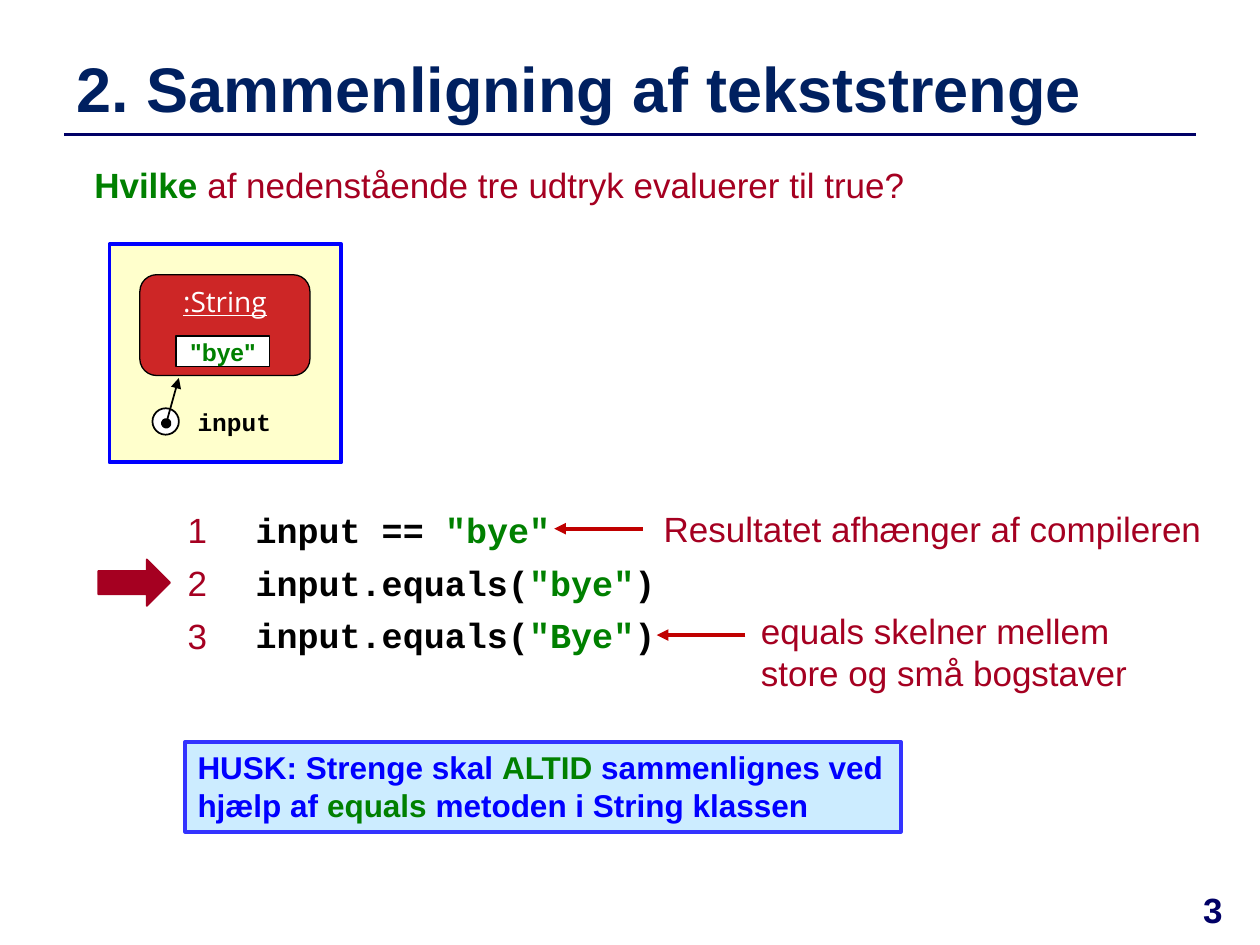
"""Build a slide on comparing text strings in Java."""
from lxml import etree
from pptx import Presentation
from pptx.dml.color import RGBColor
from pptx.enum import shapes as kinds, text as txt
from pptx.oxml.ns import qn
from pptx.util import Pt

NAVY, TITLE_BLUE, BLUE, RED = "000066", "002060", "0000FF", "A50021"
ARROW_RED, GREEN, BLACK, WHITE = "C00000", "008000", "000000", "FFFFFF"
SANS, MONO, UML = "Arial", "Courier New", "Open Sans"
CENTER = txt.PP_ALIGN.CENTER
SHAPE = kinds.MSO_SHAPE

TITLE = "2. Sammenligning af tekststrenge"
QUESTION = [("Hvilke", GREEN, True),
            (" af nedenstående tre udtryk evaluerer til true?", RED, False)]
EXPRESSIONS = [
    [("input == ", BLACK), ('"bye"', GREEN)],
    [("input.equals(", BLACK), ('"bye"', GREEN), (")", BLACK)],
    [("input.equals(", BLACK), ('"Bye"', GREEN), (")", BLACK)],
]
COMMENTS = [
    ("Resultatet afhænger af compileren", (372.2, 286.6, 326.2, 31.7)),
    ("equals skelner mellem store og små bogstaver", (427.7, 344.9, 262, 55.4)),
]
POINTERS = [((367.2, 302.1), (316.7, 302.1)), ((426, 362.9), (375.3, 362.9))]
REMINDER = [("HUSK: Strenge skal ", BLUE), ("ALTID", GREEN),
            (" sammenlignes ved hjælp af ", BLUE), ("equals", GREEN),
            (" metoden i String klassen", BLUE)]


def rgb(color):
    return RGBColor.from_string(color)


def write(shape, paragraphs, size=20, font=SANS, color=RED, bold=False,
          underline=None, align=None, before=0, anchor=txt.MSO_ANCHOR.TOP, wrap=True):
    frame = shape.text_frame
    frame.auto_size = txt.MSO_AUTO_SIZE.NONE
    frame.word_wrap = wrap
    frame.vertical_anchor = anchor
    for number, runs in enumerate(paragraphs):
        paragraph = frame.add_paragraph() if number else frame.paragraphs[0]
        paragraph.alignment = align or txt.PP_ALIGN.LEFT
        paragraph.space_before = Pt(before)
        for words, *style in [(runs,)] if isinstance(runs, str) else runs:
            run = paragraph.add_run()
            run.text = words
            run.font.name, run.font.size = font, Pt(size)
            run.font.color.rgb = rgb(style[0] if style else color)
            run.font.bold = style[1] if len(style) > 1 else bold
            run.font.underline = underline


def add_text(slide, box, paragraphs, **style):
    write(slide.shapes.add_textbox(*map(Pt, box)), paragraphs, **style)


def add_box(slide, kind, box, fill, line, width):
    shape = slide.shapes.add_shape(kind, *map(Pt, box))
    shape.shadow.inherit = False
    shape.fill.solid()
    shape.fill.fore_color.rgb = rgb(fill)
    shape.line.color.rgb = rgb(line)
    shape.line.width = Pt(width)
    return shape


def add_line(slide, start, end, color, width, **ends):
    line = slide.shapes.add_connector(kinds.MSO_CONNECTOR.STRAIGHT,
                                      *map(Pt, (*start, *end)))
    line.line.color.rgb = rgb(color)
    line.line.width = Pt(width)
    properties = line.line._get_or_add_ln()
    for tag in ("headEnd", "tailEnd"):
        if tag in ends:
            etree.SubElement(properties, qn("a:" + tag), type=ends[tag])
    etree.SubElement(line._element.spPr, qn("a:effectLst"))


def add_object_diagram(slide):
    add_box(slide, SHAPE.RECTANGLE, (62.6, 139.7, 132.5, 124.6), "FFFFCC", BLUE, 2.25)
    add_box(slide, SHAPE.OVAL, (87.1, 233.3, 15.1, 15.1), WHITE, BLACK, 1)
    add_box(slide, SHAPE.ROUNDED_RECTANGLE, (79.9, 157, 97.2, 57.6), "CD2626", BLACK, 0.75)
    value = add_box(slide, SHAPE.RECTANGLE, (100.8, 192.2, 53.3, 17.3), WHITE, BLACK, 1)
    write(value, ['"bye"'], size=14, color=GREEN, bold=True, align=CENTER,
          anchor=txt.MSO_ANCHOR.MIDDLE, wrap=False)
    add_line(slide, (95, 241.9), (102.2, 216), BLACK, 1, headEnd="oval", tailEnd="triangle")
    add_text(slide, (105.8, 229, 78.5, 23.8), ["input"], size=14, font=MONO,
             color=BLACK, bold=True, before=1)
    add_text(slide, (79.9, 159.1, 97.2, 26.6), [":String"], size=16, font=UML,
             color=WHITE, underline=True, align=CENTER, before=1)


def main():
    deck = Presentation()
    deck.slide_width, deck.slide_height = Pt(720), Pt(540)
    slide = deck.slides.add_slide(deck.slide_layouts[5])

    title = slide.shapes.title
    title.left, title.top, title.width, title.height = map(Pt, (36.7, 25.9, 646.6, 48.2))
    write(title, [TITLE], size=36, color=TITLE_BLUE, bold=True, anchor=txt.MSO_ANCHOR.MIDDLE)
    add_line(slide, (36.7, 77), (683.3, 77), NAVY, 2)

    add_text(slide, (46.8, 90, 609.8, 31.7), [QUESTION])
    add_object_diagram(slide)

    numbers = [str(n) for n in range(1, len(EXPRESSIONS) + 1)]
    add_text(slide, (100.1, 287.3, 28.1, 92.2), numbers, before=6)
    add_text(slide, (139, 287.3, 249.1, 96.5), EXPRESSIONS, font=MONO, bold=True, before=6)
    add_box(slide, SHAPE.RIGHT_ARROW, (56.2, 319.7, 41, 26.6), RED, RED, 1)
    for comment, box in COMMENTS:
        add_text(slide, box, [comment])
    for start, end in POINTERS:
        add_line(slide, start, end, ARROW_RED, 2.25, tailEnd="triangle")

    reminder = add_box(slide, SHAPE.RECTANGLE, (105.8, 424.1, 409, 51.1),
                       "CCECFF", "3333FF", 2.25)
    write(reminder, [REMINDER], size=18, bold=True)
    add_text(slide, (666, 504, 54, 36), ["3"], color=NAVY, bold=True, align=CENTER)
    deck.save("out.pptx")


if __name__ == "__main__":
    main()
